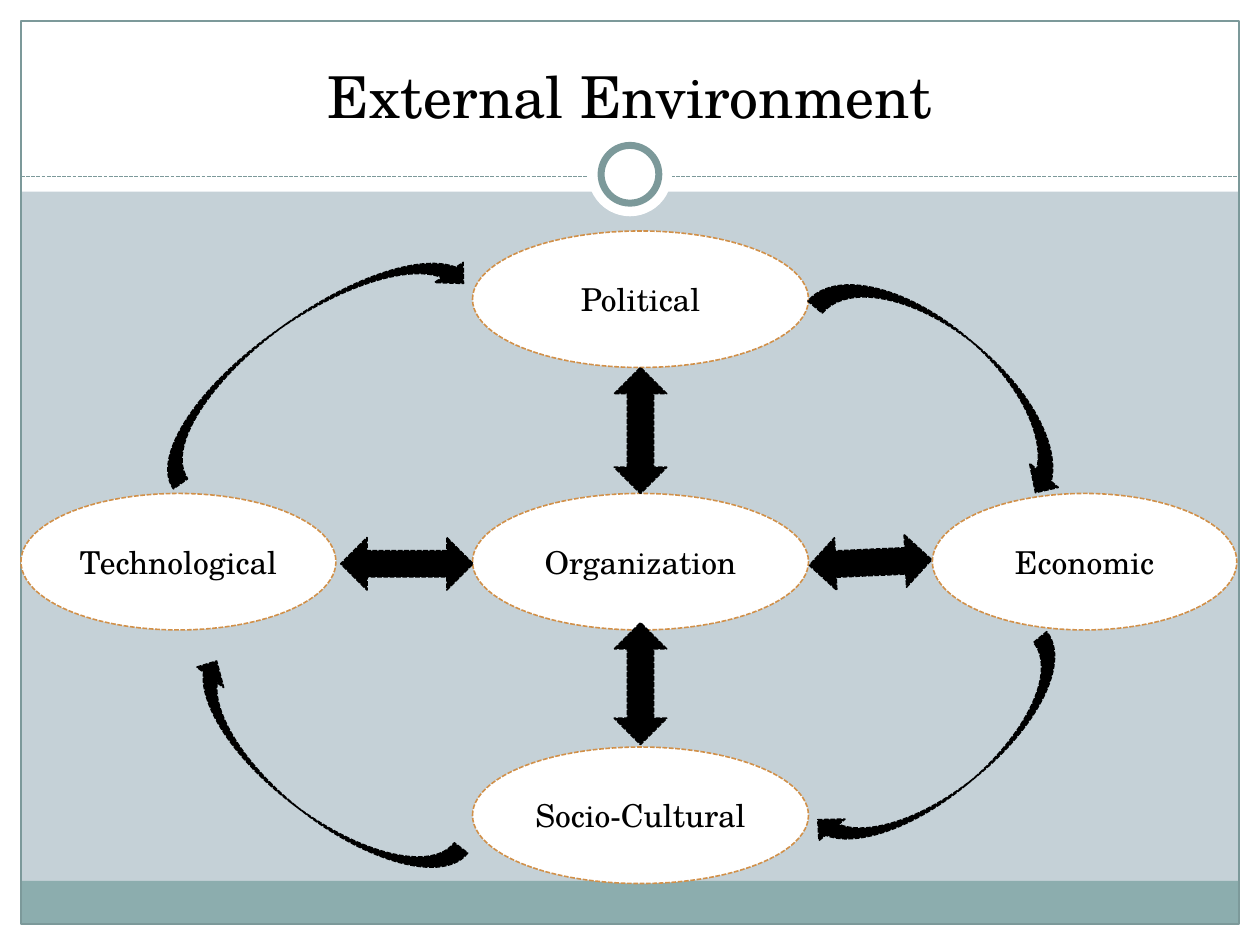
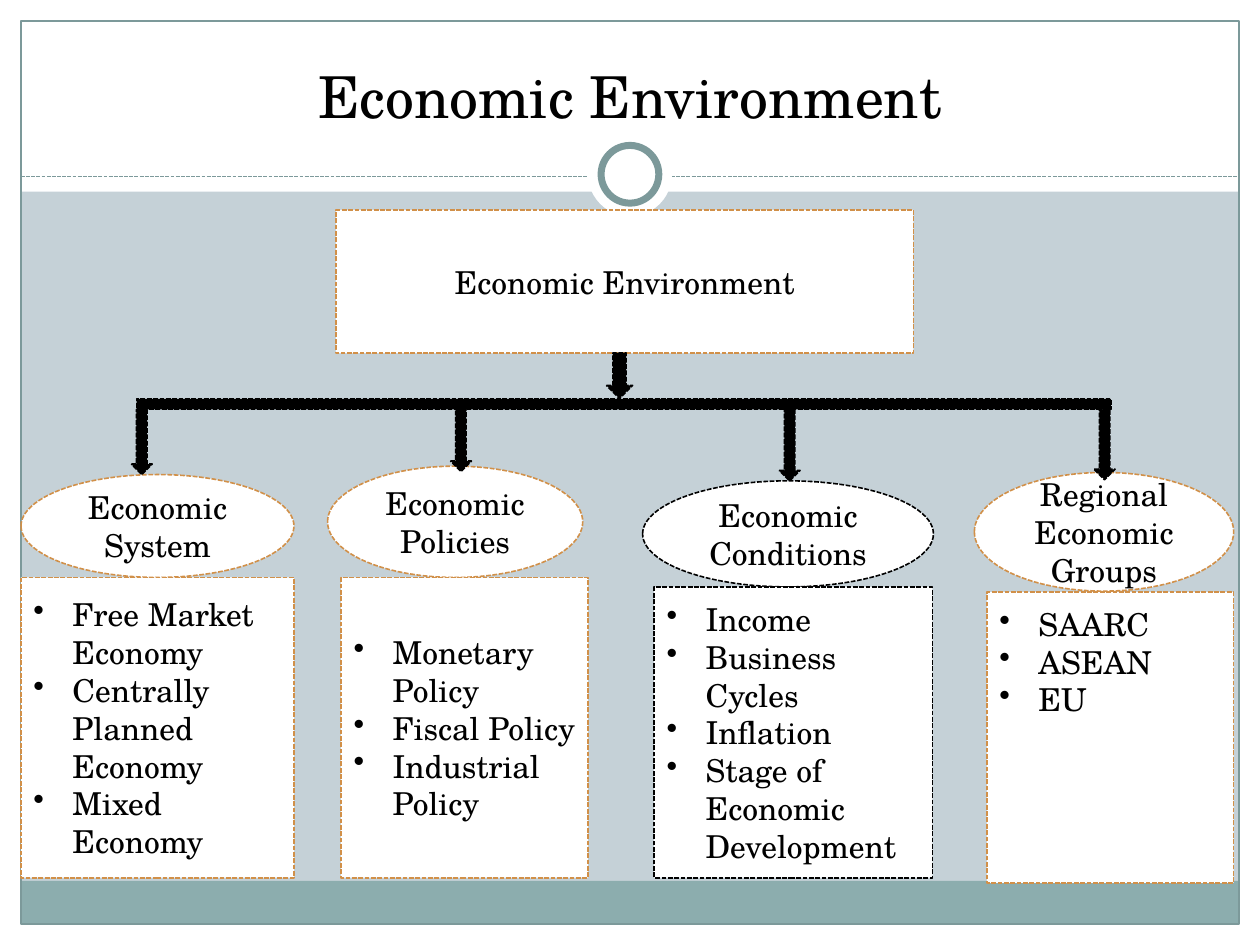
from lxml.etree import SubElement
from pptx import Presentation
from pptx.dml.color import RGBColor as Rgb
from pptx.enum.dml import MSO_LINE as Dash
from pptx.enum.shapes import MSO_CONNECTOR as Wire, MSO_SHAPE as Kind
from pptx.enum.text import MSO_ANCHOR as Anchor, PP_ALIGN as Align
from pptx.oxml.ns import qn
from pptx.util import Inches, Pt

HUES = {"back": "C5D1D7", "white": "FFFFFF", "band": "8CADAE",
        "rule": "7C999A", "edge": "D19049", "ink": "000000"}
FONT = "TeX Gyre Schola"
COLS, ROWS = 120, 90


class Deck:
    """Draws styled elements on the current slide, on a grid of 120 by 90."""

    def __init__(self, wide, high):
        self.file = Presentation()
        self.file.slide_width, self.file.slide_height = Inches(wide), Inches(high)
        self.col = self.file.slide_width / COLS
        self.row = self.file.slide_height / ROWS

    def place(self, x, y, w, h):
        return [round(n * unit) for n, unit in zip((x, y, w, h), (self.col, self.row) * 2)]

    def hue(self, name):
        return Rgb.from_string(HUES[name])

    def style(self, item, **form):
        for key, value in form.items():
            setattr(item, key, value)

    def stroke(self, line, hue, width, dash=None):
        line.color.rgb = self.hue(hue)
        self.style(line, width=Pt(width), dash_style=dash)

    def shape(self, kind, box, fill=None, line=None, width=0.9, dash=Dash.SQUARE_DOT, turn=0):
        item = self.slide.shapes.add_shape(kind, *self.place(*box))
        self.style(item, rotation=turn)
        item.shadow.inherit = False
        if fill:
            item.fill.solid()
            item.fill.fore_color.rgb = self.hue(fill)
        else:
            item.fill.background()
        if line:
            self.stroke(item.line, line, width, dash)
        else:
            item.line.fill.background()
        return item

    def label(self, item, lines, size=18, anchor=Anchor.MIDDLE, align=Align.CENTER, dots=False):
        frame = item.text_frame
        self.style(frame, word_wrap=True, vertical_anchor=anchor)
        frame.text = "\n".join(lines)
        for para in frame.paragraphs:
            self.style(para, alignment=align)
            self.style(para.font, name=FONT, size=Pt(size))
            para.font.color.rgb = self.hue("ink")
            if dots:
                props = para._p.get_or_add_pPr()
                props.set("marL", str(Inches(0.31)))
                props.set("indent", str(-Inches(0.31)))
                SubElement(props, qn("a:buChar")).set("char", "•")
        return frame

    def node(self, text, box, kind=Kind.OVAL, edge="edge"):
        self.label(self.shape(kind, box, "white", edge), [text])

    def bullets(self, lines, box, edge, anchor):
        item = self.shape(Kind.RECTANGLE, box, "white", edge)
        frame = self.label(item, lines, anchor=anchor, align=Align.LEFT, dots=True)
        if anchor == Anchor.TOP:
            self.style(frame, margin_top=Inches(0.1))

    def arrow(self, kind, box, turn=0):
        self.shape(kind, box, "ink", "ink", turn=turn)

    def rule(self, x, y, end):
        left, top, right, _ = self.place(x, y, end, 0)
        wire = self.slide.shapes.add_connector(Wire.STRAIGHT, left, top, right, top)
        self.stroke(wire.line, "rule", 0.75, Dash.SQUARE_DOT)
        SubElement(wire._element.spPr, qn("a:effectLst"))

    def page(self, title):
        self.slide = self.file.slides.add_slide(self.file.slide_layouts[6])
        back = self.slide.background.fill
        back.solid()
        back.fore_color.rgb = self.hue("back")
        for box in ((0, 88, COLS, 2), (0, 0, COLS, 18.25), (0, 0, 2, ROWS), (118, 0, 2, ROWS)):
            self.shape(Kind.RECTANGLE, box, "white")
        self.shape(Kind.RECTANGLE, (2, 83.9, 116, 4.1), "band")
        self.shape(Kind.RECTANGLE, (2, 2, 116, 86), None, "rule", 0.75, None)
        self.rule(2, 16.8, 118)
        self.shape(Kind.OVAL, (56, 12.6, 8, 8), "white")
        self.shape(Kind.OVAL, (57.25, 13.85, 5.5, 5.5), "white", "rule", 4, None)
        item = self.slide.shapes.add_textbox(*self.place(4, 3, 112, 10))
        self.label(item, [title], 33, Anchor.BOTTOM)


deck = Deck(10, 7.5)

deck.page("External Environment")
for text, x, y, wide in (
        ("Political", 45, 22, 32), ("Socio-Cultural", 45, 71.15, 32),
        ("Economic", 88.8, 47, 29), ("Technological", 2, 47, 30),
        ("Organization", 45, 47, 32)):
    deck.node(text, (x, y, wide, 13))
for *box, turn in ((58.5, 35, 5, 12, 0), (58.5, 59.3, 5, 11.6, 0),
                   (36.25, 47.4, 5, 12.6, 90), (80.4, 47.75, 5, 11.65, 87.4)):
    deck.arrow(Kind.UP_DOWN_ARROW, box, turn)
for *box, turn in ((87.2, 20.6, 7.1, 30.1, 310.1), (87, 57.2, 6.4, 29.8, 50.6),
                   (25.8, 15.85, 6.6, 35.5, 234.7), (26.8, 58.3, 6.4, 31.7, 127.4)):
    deck.arrow(Kind.CURVED_LEFT_ARROW, box, turn)

deck.page("Economic Environment")
deck.node("Economic Environment", (32, 20, 55, 13.65), Kind.RECTANGLE)
GROUPS = (
    ("Economic System", (2, 45.2, 26, 9.8), (2, 55, 26, 28.6), "edge", Anchor.MIDDLE,
     ["Free Market Economy", "Centrally Planned Economy", "Mixed Economy"]),
    ("Economic Policies", (31.2, 44.4, 24.3, 10.6), (32.5, 55, 23.5, 28.6), "edge",
     Anchor.MIDDLE, ["Monetary Policy", "Fiscal Policy", "Industrial Policy"]),
    ("Economic Conditions", (61.2, 45.8, 27.7, 10.1), (62.3, 55.9, 26.5, 27.7), "ink",
     Anchor.MIDDLE, ["Income", "Business Cycles", "Inflation", "Stage of Economic Development"]),
    ("Regional Economic Groups", (92.8, 45, 24.7, 11.3), (94, 56.4, 23.5, 27.7), "edge",
     Anchor.TOP, ["SAARC", "ASEAN", "EU"]),
)
for head, oval, box, edge, anchor, lines in GROUPS:
    deck.node(head, oval, edge=edge)
    deck.bullets(lines, box, edge, anchor)
deck.arrow(Kind.RECTANGLE, (13, 38, 92.8, 1))
for mid, foot in ((13.5, 45.2), (43.9, 44.9), (75.2, 45.8), (105.2, 45.7)):
    deck.arrow(Kind.DOWN_ARROW, (mid - 1, 39, 2, foot - 39))
deck.arrow(Kind.DOWN_ARROW, (57.75, 33.6, 2.5, 4.35))

deck.file.save("out.pptx")
